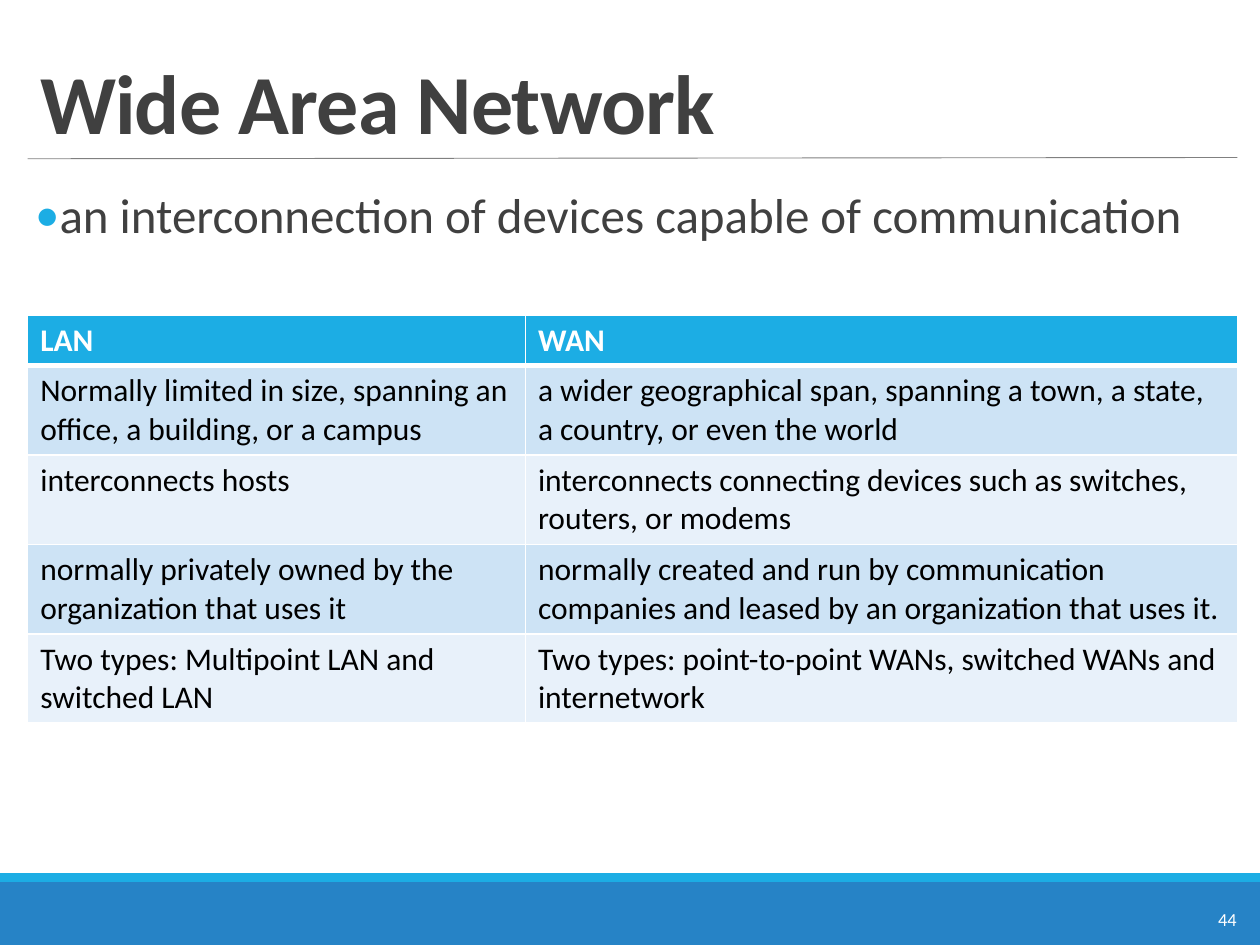
from dataclasses import dataclass
from lxml.etree import SubElement
from pptx import Presentation
from pptx.dml.color import RGBColor
from pptx.enum.shapes import MSO_CONNECTOR, MSO_SHAPE
from pptx.enum.text import MSO_ANCHOR, MSO_AUTO_SIZE
from pptx.oxml.ns import qn
from pptx.util import Inches, Pt


@dataclass(frozen=True)
class Theme:
    font: str = "Calibri"
    ink: str = "404040"
    black: str = "000000"
    white: str = "FFFFFF"
    accent: str = "1CADE4"
    footer: str = "2683C6"
    rule: str = "808080"
    bands: tuple = ("CDE3F5", "E8F1FA")
    title_size: float = 48
    body_size: float = 28
    table_size: float = 18
    number_size: float = 10.5


@dataclass(frozen=True)
class Box:
    left: float
    top: float
    width: float
    height: float

    def place(self):
        return [cells(n) for n in (self.left, self.top, self.width, self.height)]


THEME = Theme()
COLUMNS, ROWS = 100, 75
CELL = Inches(10) // COLUMNS
MARGIN, CONTENT_WIDTH = 2.2, 96

TABLE_COLUMNS = (39.5, 56.5)
TABLE_ROWS = (4, 7.1, 7.1, 7.1, 7.1)
COMPARISON = (
    ("LAN", "WAN"),
    ("Normally limited in size, spanning an office, a building, or a campus",
     "a wider geographical span, spanning a town, a state, a country, or even the world"),
    ("interconnects hosts",
     "interconnects connecting devices such as switches, routers, or modems"),
    ("normally privately owned by the organization that uses it",
     "normally created and run by communication companies and leased by an organization that uses it."),
    ("Two types: Multipoint LAN and switched LAN",
     "Two types: point-to-point WANs, switched WANs and internetwork"),
)


def cells(count):
    return round(count * CELL)


def color(code):
    return RGBColor.from_string(code)


def write(frame, text, *, size, ink, bold=False, leading=None, after=None, tracking=None, bullet=None):
    para = frame.paragraphs[0]
    if bullet:
        properties = para._p.get_or_add_pPr()
        properties.set("marL", str(Inches(0.25)))
        properties.set("indent", str(Inches(-0.19)))
        tint = SubElement(properties, qn("a:buClr"))
        SubElement(tint, qn("a:srgbClr"), val=bullet)
        SubElement(properties, qn("a:buFont"), typeface=THEME.font)
        SubElement(properties, qn("a:buChar"), char="•")
    if leading:
        para.line_spacing = leading
    if after is not None:
        para.space_after = Pt(after)
    span = para.add_run()
    span.text = text
    span.font.name = THEME.font
    span.font.size = Pt(size)
    span.font.bold = bold
    span.font.color.rgb = color(ink)
    if tracking:
        span._r.get_or_add_rPr().set("spc", str(round(tracking * 100)))


def add_bar(page, box, fill):
    bar = page.shapes.add_shape(MSO_SHAPE.RECTANGLE, *box.place())
    bar.shadow.inherit = False
    bar.fill.solid()
    bar.fill.fore_color.rgb = color(fill)
    bar.line.fill.background()


def add_footer(page, box, number):
    stripe = 0.7
    add_bar(page, Box(box.left, box.top + stripe, box.width, box.height - stripe), THEME.footer)
    add_bar(page, Box(box.left, box.top, box.width, stripe), THEME.accent)
    label = page.shapes.add_textbox(*Box(box.left + 95.7, box.top + 2.3, 3.7, 2.8).place())
    label.text_frame.word_wrap = False
    label.text_frame.auto_size = MSO_AUTO_SIZE.SHAPE_TO_FIT_TEXT
    write(label.text_frame, number, size=THEME.number_size, ink=THEME.white)


def add_title(page, box, text):
    bottom = box.top + box.height
    rule = page.shapes.add_connector(
        MSO_CONNECTOR.STRAIGHT, cells(box.left), cells(bottom + 0.1),
        cells(box.left + box.width), cells(bottom))
    rule.line.color.rgb = color(THEME.rule)
    rule.line.width = Pt(0.5)
    SubElement(rule._element.spPr, qn("a:effectLst"))
    title = page.shapes.add_textbox(*box.place())
    title.text_frame.word_wrap = True
    title.text_frame.vertical_anchor = MSO_ANCHOR.BOTTOM
    write(title.text_frame, text, size=THEME.title_size, ink=THEME.ink,
          bold=True, leading=0.85, tracking=-0.5)


def add_body(page, box, text):
    frame = page.shapes.add_textbox(*box.place()).text_frame
    frame.word_wrap = True
    frame.margin_left = frame.margin_right = 0
    write(frame, text, size=THEME.body_size, ink=THEME.ink, leading=0.9,
          after=2, bullet=THEME.accent)


def add_borders(cell, **widths):
    properties = cell._tc.get_or_add_tcPr()
    for side in "LRTB":
        line = SubElement(properties, qn(f"a:ln{side}"), w=str(Pt(widths.get(side, 1))))
        fill = SubElement(line, qn("a:solidFill"))
        SubElement(fill, qn("a:srgbClr"), val=THEME.white)


def add_comparison(page, box):
    table = page.shapes.add_table(len(TABLE_ROWS), len(TABLE_COLUMNS), *box.place()).table
    for column, width in zip(table.columns, TABLE_COLUMNS):
        column.width = cells(width)
    for index, (row, height, texts) in enumerate(zip(table.rows, TABLE_ROWS, COMPARISON)):
        row.height = cells(height)
        header = index == 0
        heavy = {0: {"B": 3}, 1: {"T": 3}}.get(index, {})
        fill = THEME.accent if header else THEME.bands[(index - 1) % 2]
        for cell, text in zip(row.cells, texts):
            add_borders(cell, **heavy)
            cell.fill.solid()
            cell.fill.fore_color.rgb = color(fill)
            write(cell.text_frame, text, size=THEME.table_size, bold=header,
                  ink=THEME.white if header else THEME.black)


def main():
    deck = Presentation()
    deck.slide_width, deck.slide_height = cells(COLUMNS), cells(ROWS)
    page = deck.slides.add_slide(deck.slide_layouts[6])
    add_footer(page, Box(0, 69.3, COLUMNS, ROWS - 69.3), "44")
    add_title(page, Box(MARGIN, 2.5, CONTENT_WIDTH, 10), "Wide Area Network")
    add_body(page, Box(MARGIN, 14.7, CONTENT_WIDTH, 49.5),
             "an interconnection of devices capable of communication")
    add_comparison(page, Box(MARGIN, 25, CONTENT_WIDTH, sum(TABLE_ROWS)))
    deck.save("out.pptx")


if __name__ == "__main__":
    main()
